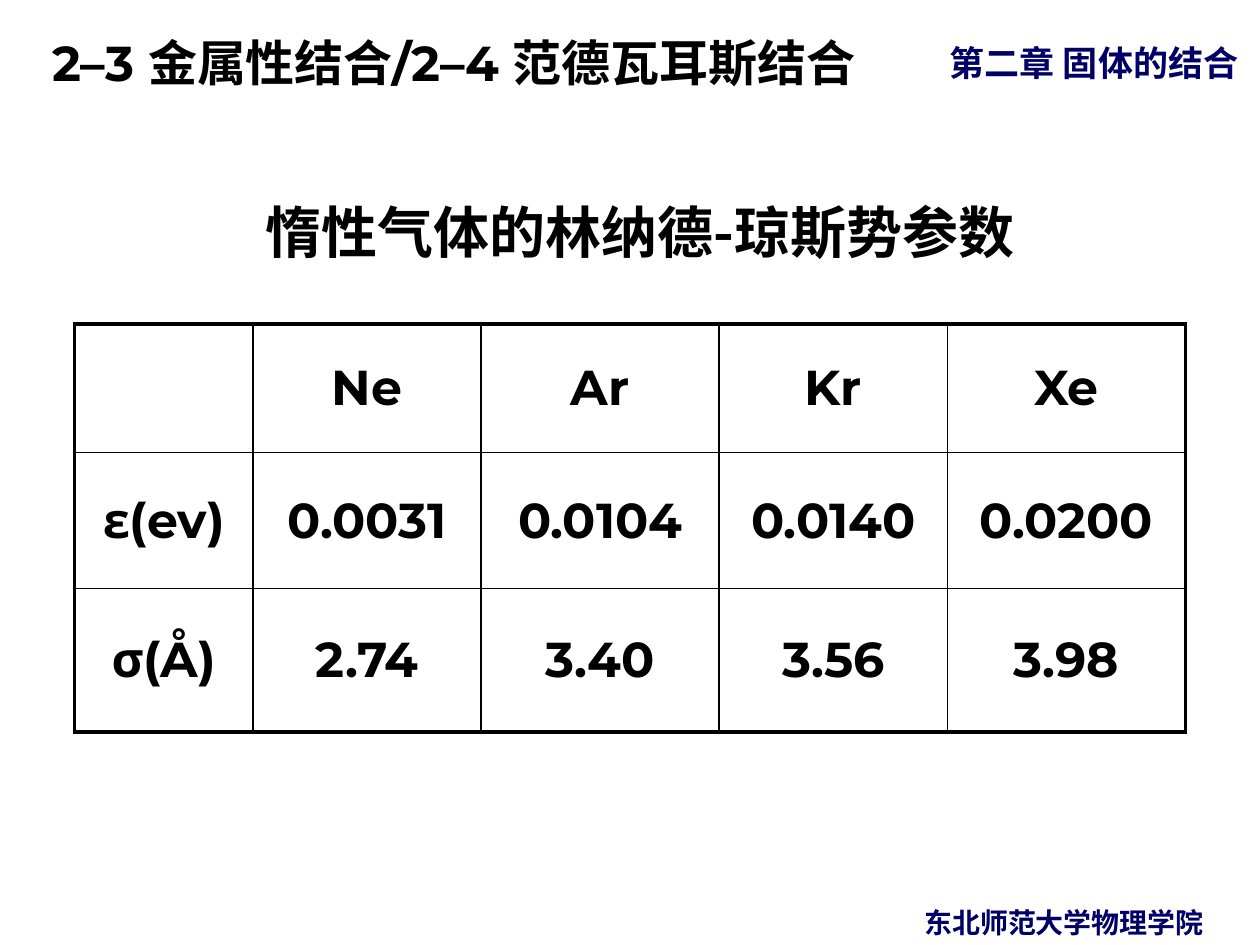
from lxml import etree
from pptx import Presentation
from pptx import util as u
from pptx.dml.color import RGBColor
from pptx.enum import text
from pptx.oxml import ns

BLACK = RGBColor(0x00, 0x00, 0x00)
NAVY = RGBColor(0x00, 0x00, 0x66)
LATIN = "Montserrat"
CHINESE = "Noto Sans CJK SC"

ROWS = [
    ["", "Ne", "Ar", "Kr", "Xe"],
    ["ε(ev)", "0.0031", "0.0104", "0.0140", "0.0200"],
    ["σ(Å)", "2.74", "3.40", "3.56", "3.98"],
]
COLUMN_WIDTHS = [3.6, 4.6, 4.8, 4.6, 4.8]
ROW_HEIGHTS = [2.59, 2.74, 2.9]
THICK, THIN = 2.25, 1


def set_values(target, values):
    for name, value in values.items():
        setattr(target, name, value)


def write(frame, content, size, color=BLACK, name=CHINESE, **paragraph_format):
    paragraph = frame.paragraphs[0]
    set_values(paragraph, paragraph_format)
    run = paragraph.add_run()
    run.text = content
    set_values(run.font, {"size": u.Pt(size), "bold": True, "name": name})
    run.font.color.rgb = color
    properties = run.font._element
    etree.SubElement(properties, ns.qn("a:ea"), typeface=CHINESE)
    return paragraph


def add_label(slide, box, content, size, color=NAVY, name=CHINESE, **paragraph_format):
    shape = slide.shapes.add_textbox(*map(u.Cm, box))
    shape.text_frame.word_wrap = True
    return shape, write(shape.text_frame, content, size, color, name, **paragraph_format)


def add_header(slide):
    shape, paragraph = add_label(
        slide, (0, 0.28, 20.75, 1.63), "2–3 金属性结合/2–4 范德瓦耳斯结合",
        28, BLACK, LATIN, line_spacing=1.25)
    shape.text_frame.vertical_anchor = text.MSO_ANCHOR.MIDDLE
    paragraph._p.get_or_add_pPr().set("marL", str(u.Cm(0.8)))


def fill_title(slide, content):
    title = slide.shapes.title
    box = {"left": 2.11, "top": 2.31, "width": 21.59, "height": 3.18}
    set_values(title, {side: u.Cm(length) for side, length in box.items()})
    set_values(title.text_frame, {
        "word_wrap": True,
        "auto_size": text.MSO_AUTO_SIZE.NONE,
        "vertical_anchor": text.MSO_ANCHOR.BOTTOM,
    })
    write(title.text_frame, content, 32,
          alignment=text.PP_ALIGN.CENTER, line_spacing=0.9)


def set_borders(cell, widths):
    properties = cell._tc.get_or_add_tcPr()
    for side, width in widths.items():
        line = etree.SubElement(properties, ns.qn(f"a:ln{side}"), w=str(u.Pt(width)))
        fill = etree.SubElement(line, ns.qn("a:solidFill"))
        etree.SubElement(fill, ns.qn("a:srgbClr"), val=str(BLACK))


def add_parameter_table(slide):
    row_count, column_count = len(ROWS), len(COLUMN_WIDTHS)
    table = slide.shapes.add_table(
        row_count, column_count, u.Cm(1.5), u.Cm(6.53),
        u.Cm(sum(COLUMN_WIDTHS)), u.Cm(sum(ROW_HEIGHTS))).table
    set_values(table, {"first_row": False, "horz_banding": False})
    for column, width in zip(table.columns, COLUMN_WIDTHS):
        column.width = u.Cm(width)
    for row, height in zip(table.rows, ROW_HEIGHTS):
        row.height = u.Cm(height)
    for i, values in enumerate(ROWS):
        for j, value in enumerate(values):
            cell = table.cell(i, j)
            cell.vertical_anchor = text.MSO_ANCHOR.MIDDLE
            set_borders(cell, {
                "L": THICK if j == 0 else THIN,
                "R": THICK if j == column_count - 1 else THIN,
                "T": THICK if i == 0 else THIN,
                "B": THICK if i == row_count - 1 else THIN,
            })
            cell.fill.background()
            if value:
                write(cell.text_frame, value, 28, name=LATIN,
                      alignment=text.PP_ALIGN.CENTER)


def main():
    presentation = Presentation()
    set_values(presentation, {"slide_width": u.Cm(25.4), "slide_height": u.Cm(19.05)})
    slide = presentation.slides.add_slide(presentation.slide_layouts[5])
    add_label(slide, (18.9, 0.71, 6.5, 1.09), "第二章 固体的结合", 20)
    add_header(slide)
    add_label(slide, (17.5, 18.14, 7.9, 0.94), "东北师范大学物理学院", 16,
              alignment=text.PP_ALIGN.CENTER)
    fill_title(slide, "惰性气体的林纳德-琼斯势参数")
    add_parameter_table(slide)
    presentation.save("out.pptx")


if __name__ == "__main__":
    main()
